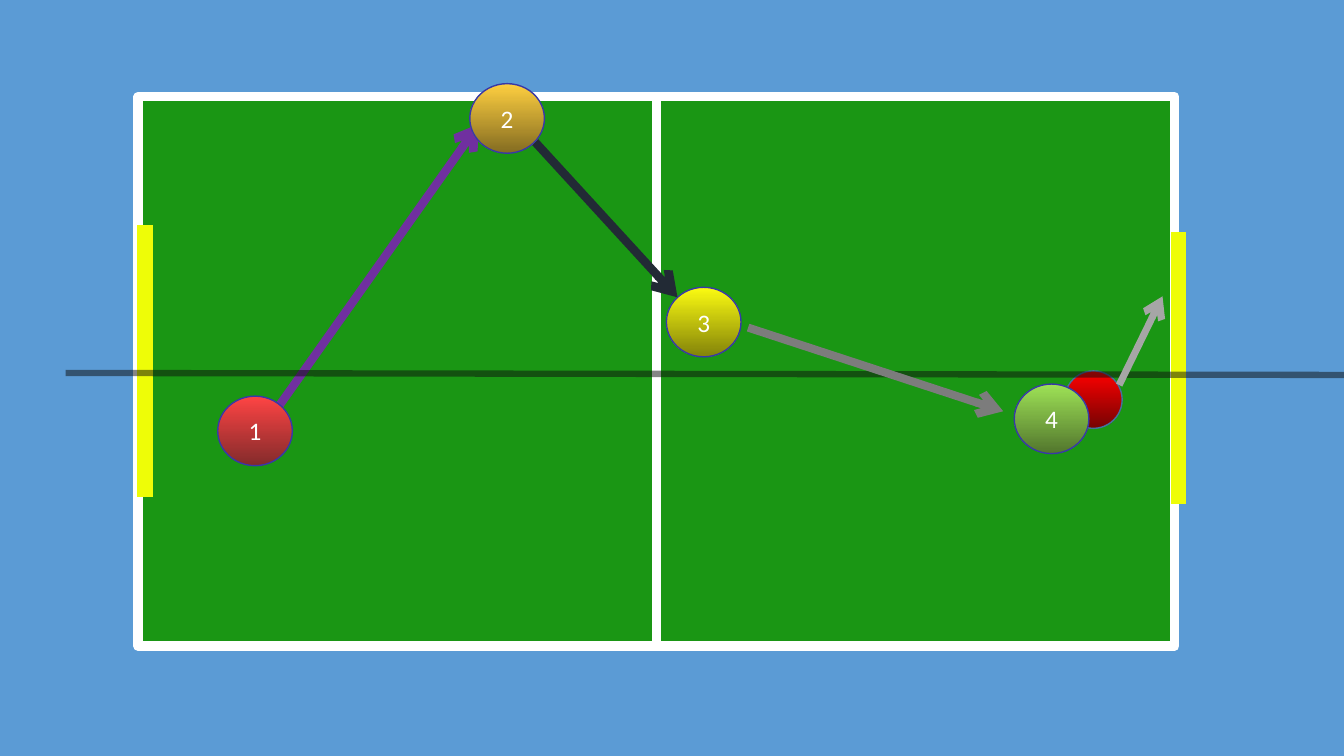
from dataclasses import dataclass

from lxml.etree import SubElement
from pptx import Presentation
from pptx.dml.color import RGBColor
from pptx.enum.shapes import MSO_CONNECTOR, MSO_SHAPE
from pptx.enum.text import MSO_ANCHOR, PP_ALIGN
from pptx.oxml.ns import qn
from pptx.shapes.autoshape import Shape
from pptx.shapes.connector import Connector
from pptx.slide import Slide
from pptx.util import Inches, Pt

COLORS = {
    "background": "5B9BD5", "grass": "1A9614", "white": "FFFFFF",
    "goal": "EEFD07", "outline": "3838A8", "ball outline": "43739E",
    "axis": "0D0D0D", "purple": "7030A0", "navy": "222A35",
    "gray": "7C7C7C", "light gray": "A6A6A6",
    "red": "FE4444", "dark red": "832B2B",
    "gold": "FECF40", "dark gold": "846C21",
    "yellow": "FBFB11", "dark yellow": "838309",
    "green": "9EE256", "dark green": "52762D",
    "ball": "FF0000", "dark ball": "760303",
}


@dataclass
class Stroke:
    start: tuple[float, float]
    end: tuple[float, float]
    color: str
    width: float
    arrow: bool = False
    opacity: int = 100


@dataclass
class Disc:
    left: float
    top: float
    color: str
    label: str = ""
    width: float = 0.74
    height: float = 0.69
    outline: str = "outline"


MIDLINE = Stroke((6.51, 0.96), (6.51, 6.41), "white", 6.5)
# Listed from back to front
PARTS: list[Stroke | Disc] = [
    # Goals
    Stroke((11.69, 2.3), (11.69, 5), "goal", 11),
    Stroke((1.44, 2.23), (1.44, 4.93), "goal", 11),
    # Third player and ball
    Disc(6.61, 2.85, "yellow", "3"),
    Disc(10.56, 3.68, "ball", width=0.57, height=0.57, outline="ball outline"),
    # Passes, long axis and shot
    Stroke((5.29, 1.39), (6.72, 2.95), "navy", 6, arrow=True),
    Stroke((2.73, 4.08), (4.75, 1.23), "purple", 6, arrow=True),
    Stroke((0.65, 3.7), (13.33, 3.72), "axis", 4.5, opacity=50),
    Stroke((7.42, 3.25), (9.95, 4.08), "gray", 5.75, arrow=True),
    Stroke((11.1, 3.82), (11.53, 2.94), "light gray", 5, arrow=True),
    # Remaining players
    Disc(2.16, 3.93, "red", "1"),
    Disc(4.66, 0.83, "gold", "2"),
    Disc(10.06, 3.81, "green", "4"),
]


def rgb(name: str) -> RGBColor:
    return RGBColor.from_string(COLORS[name])


def draw_field(page: Slide) -> Shape:
    field = page.shapes.add_shape(
        MSO_SHAPE.RECTANGLE, Inches(1.37), Inches(0.96), Inches(10.28), Inches(5.45))
    field.shadow.inherit = False
    field.fill.solid()
    field.fill.fore_color.rgb = rgb("grass")
    field.line.color.rgb = rgb("white")
    field.line.width = Pt(6.75)
    return field


def draw_stroke(page: Slide, stroke: Stroke) -> Connector:
    ends = [Inches(value) for value in (*stroke.start, *stroke.end)]
    connector = page.shapes.add_connector(MSO_CONNECTOR.STRAIGHT, *ends)
    connector.line.color.rgb = rgb(stroke.color)
    connector.line.width = Pt(stroke.width)
    properties = connector.element.spPr
    outline = properties.find(qn("a:ln"))
    if stroke.opacity < 100:
        color = outline.find(".//" + qn("a:srgbClr"))
        SubElement(color, qn("a:alpha"), val=str(stroke.opacity * 1000))
    if stroke.arrow:
        SubElement(outline, qn("a:tailEnd"), type="arrow")
    SubElement(properties, qn("a:effectLst"))
    return connector


def draw_disc(page: Slide, disc: Disc) -> None:
    circle = page.shapes.add_shape(
        MSO_SHAPE.OVAL, Inches(disc.left), Inches(disc.top),
        Inches(disc.width), Inches(disc.height))
    circle.shadow.inherit = False
    circle.fill.gradient()
    circle.fill.gradient_angle = 270
    shades = (disc.color, "dark " + disc.color)
    for stop, shade, position in zip(circle.fill.gradient_stops, shades, (0, 1)):
        stop.color.rgb = rgb(shade)
        stop.position = position
    circle.line.color.rgb = rgb(disc.outline)
    circle.line.width = Pt(1)
    if disc.label:
        circle.text_frame.vertical_anchor = MSO_ANCHOR.MIDDLE
        para = circle.text_frame.paragraphs[0]
        para.text = disc.label
        para.alignment = PP_ALIGN.CENTER
        para.font.name = "Calibri"
        para.font.size = Pt(18)
        para.font.color.rgb = rgb("white")


def main() -> None:
    deck = Presentation()
    deck.slide_width, deck.slide_height = Inches(13.33), Inches(7.5)
    page = deck.slides.add_slide(deck.slide_layouts[6])
    page.background.fill.solid()
    page.background.fill.fore_color.rgb = rgb("background")

    # Field split by its midline
    field = draw_field(page)
    midline = draw_stroke(page, MIDLINE)
    midline.begin_connect(field, 0)
    midline.end_connect(field, 2)

    # Goals, players, ball and moves
    for part in PARTS:
        if isinstance(part, Stroke):
            draw_stroke(page, part)
        else:
            draw_disc(page, part)

    deck.save("out.pptx")


if __name__ == "__main__":
    main()
